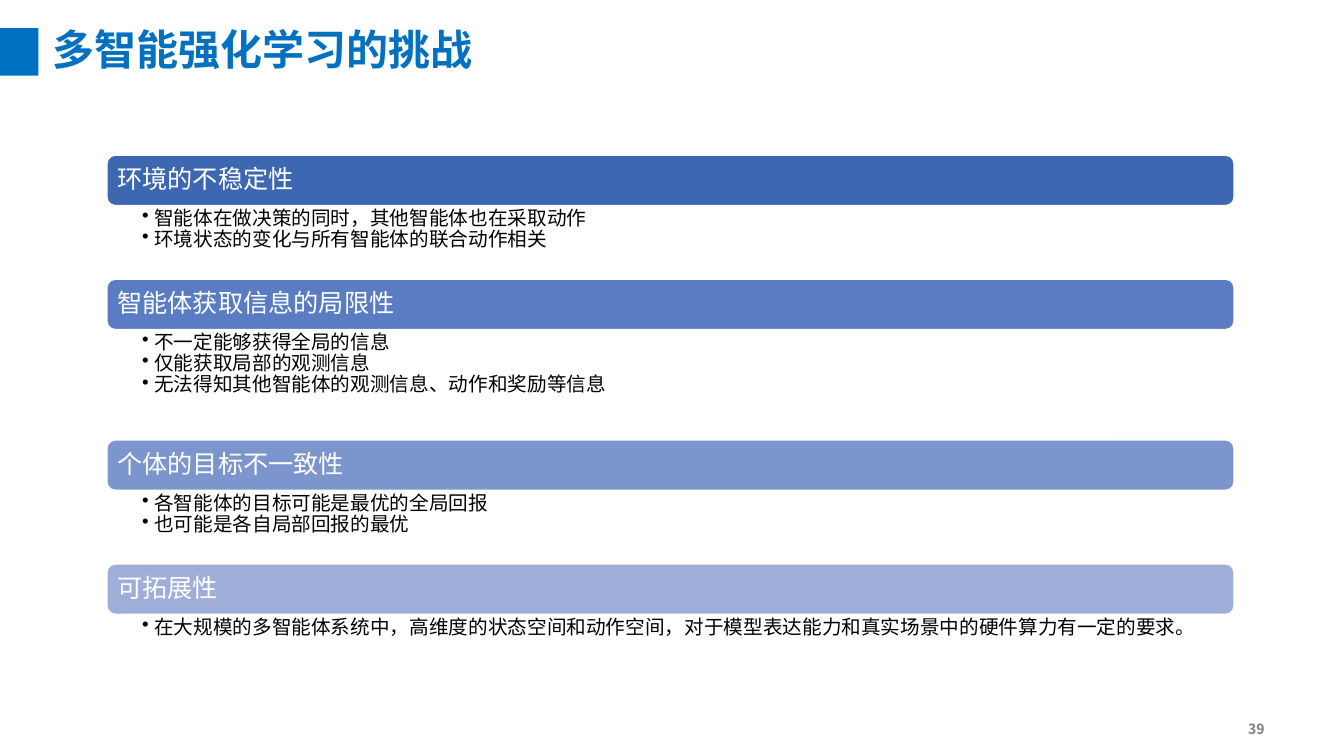
"""Build the slide on the challenges of multi-agent reinforcement learning."""
import pptx
import pptx.dml.color
import pptx.enum.shapes
import pptx.enum.text
import pptx.oxml.ns
import pptx.util
from lxml import etree

Inches = pptx.util.Inches
Shape = pptx.enum.shapes.MSO_SHAPE
Align = pptx.enum.text.PP_ALIGN
Anchor = pptx.enum.text.MSO_ANCHOR

CJK_FONT = "Noto Sans CJK SC"
TITLE = "多智能强化学习的挑战"
PAGE_NUMBER = "39"
CHALLENGES = [
    ("环境的不稳定性", "3E67B2", [
        "智能体在做决策的同时，其他智能体也在采取动作",
        "环境状态的变化与所有智能体的联合动作相关",
    ]),
    ("智能体获取信息的局限性", "5A7CC3", [
        "不一定能够获得全局的信息",
        "仅能获取局部的观测信息",
        "无法得知其他智能体的观测信息、动作和奖励等信息",
    ]),
    ("个体的目标不一致性", "7D95CD", [
        "各智能体的目标可能是最优的全局回报",
        "也可能是各自局部回报的最优",
    ]),
    ("可拓展性", "9FAED8", [
        "在大规模的多智能体系统中，高维度的状态空间和动作空间，对于模型表达能力和真实场景中的硬件算力有一定的要求。",
    ]),
]
LEFT, TOP, WIDTH = 1.06, 1.54, 11.18
BAR_HEIGHT = 0.5
POINT_HEIGHT = 0.365


def color(value):
    return pptx.dml.color.RGBColor.from_string(value)


def add_block(page, kind, left, top, width, height, fill):
    block = page.shapes.add_shape(
        kind, Inches(left), Inches(top), Inches(width), Inches(height))
    block.shadow.inherit = False
    block.fill.solid()
    block.fill.fore_color.rgb = color(fill)
    block.line.fill.background()
    return block


def add_text_box(page, left, top, width, height):
    return page.shapes.add_textbox(
        Inches(left), Inches(top), Inches(width), Inches(height))


def set_frame(box, anchor, left=0, top=0, right=0, bottom=0):
    frame = box.text_frame
    frame.word_wrap = True
    frame.vertical_anchor = anchor
    frame.margin_left, frame.margin_top = Inches(left), Inches(top)
    frame.margin_right, frame.margin_bottom = Inches(right), Inches(bottom)
    return frame


def set_para(para, text, size, ink, font=CJK_FONT, bold=False,
             align=Align.LEFT, spacing=0.9):
    para.text = text
    para.alignment = align
    para.line_spacing = spacing
    para.font.name = font
    para.font.size = pptx.util.Pt(size)
    para.font.bold = bold
    para.font.color.rgb = color(ink)
    latin = para.font._element.find(pptx.oxml.ns.qn("a:latin"))
    east_asian = etree.Element(pptx.oxml.ns.qn("a:ea"), typeface=CJK_FONT)
    latin.addnext(east_asian)


def add_bullet(para):
    properties = para._p.get_or_add_pPr()
    properties.set("marL", str(Inches(0.12)))
    properties.set("indent", str(-Inches(0.12)))
    etree.SubElement(properties, pptx.oxml.ns.qn("a:buChar"), char="•")


def add_challenge(page, top, heading, fill, points):
    bar = add_block(page, Shape.ROUNDED_RECTANGLE, LEFT, top, WIDTH, BAR_HEIGHT, fill)
    bar.line.color.rgb = color("FFFFFF")
    bar.line.width = pptx.util.Pt(1)
    frame = set_frame(bar, Anchor.MIDDLE, left=0.08, right=0.08)
    set_para(frame.paragraphs[0], heading, 18, "FFFFFF", font="Arial")

    body_height = POINT_HEIGHT * len(points)
    body = add_text_box(page, LEFT, top + BAR_HEIGHT, WIDTH, body_height)
    frame = set_frame(body, Anchor.TOP, 0.35, 0.03, 0.14, 0.03)
    for index, point in enumerate(points):
        para = frame.add_paragraph() if index else frame.paragraphs[0]
        add_bullet(para)
        set_para(para, point, 14, "000000")
    return top + BAR_HEIGHT + body_height


def main():
    deck = pptx.Presentation()
    deck.slide_width, deck.slide_height = Inches(13.33), Inches(7.5)
    page = deck.slides.add_slide(deck.slide_layouts[5])

    add_block(page, Shape.RECTANGLE, -0.01, 0.28, 0.39, 0.47, "0070C0")
    title = page.shapes.title
    title.left, title.top = Inches(0.52), Inches(0.33)
    title.width, title.height = Inches(10.06), Inches(0.38)
    frame = set_frame(title, Anchor.MIDDLE)
    frame.auto_size = pptx.enum.text.MSO_AUTO_SIZE.NONE
    set_para(frame.paragraphs[0], TITLE, 30, "0070C0", bold=True)

    top = TOP
    for heading, fill, points in CHALLENGES:
        top = add_challenge(page, top, heading, fill, points)

    number = add_text_box(page, 12.24, 7.16, 0.4, 0.14)
    frame = set_frame(number, Anchor.MIDDLE, right=0.1)
    set_para(frame.paragraphs[0], PAGE_NUMBER, 10, "808080", bold=True,
             align=Align.RIGHT, spacing=1.0)

    deck.save("out.pptx")


if __name__ == "__main__":
    main()
